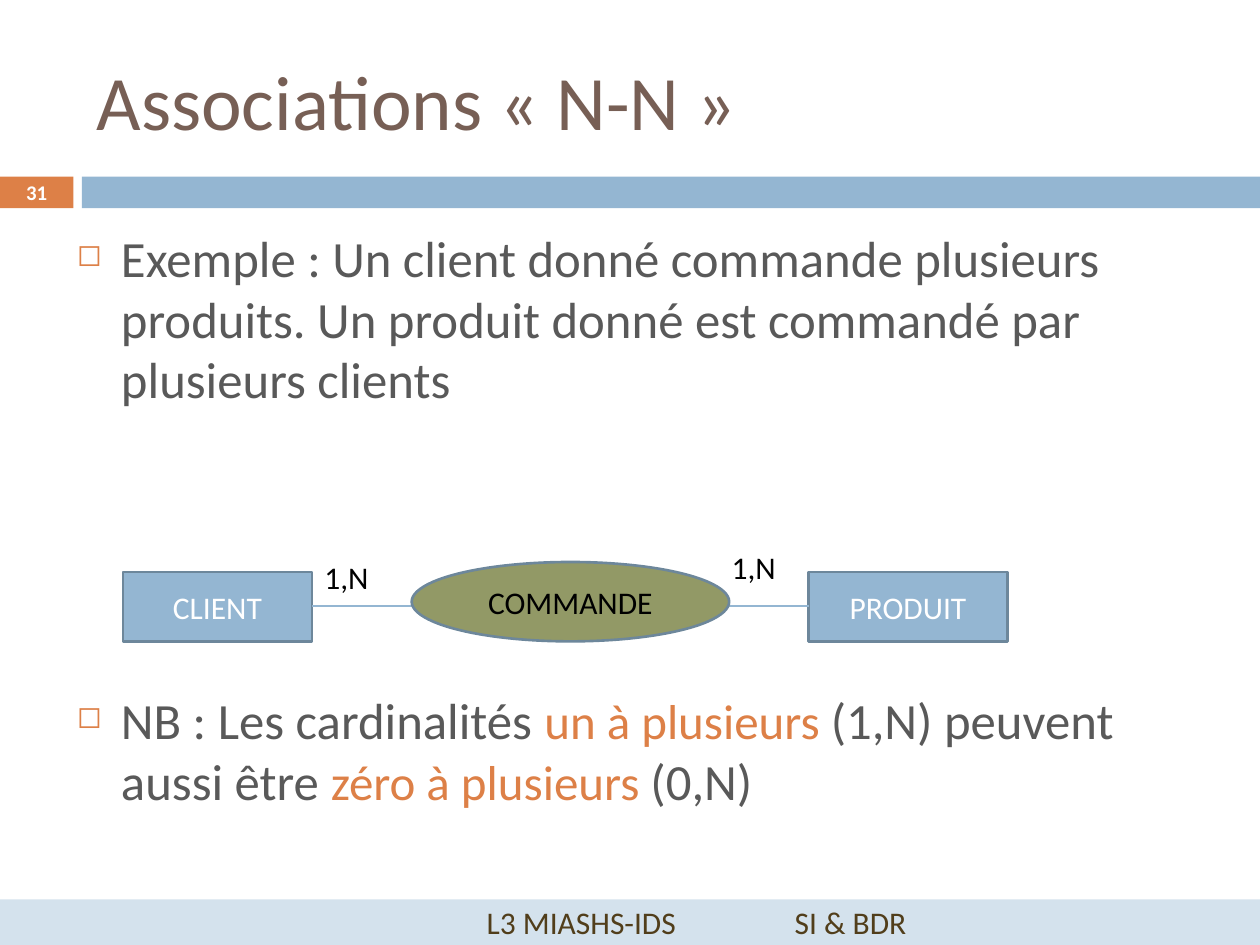
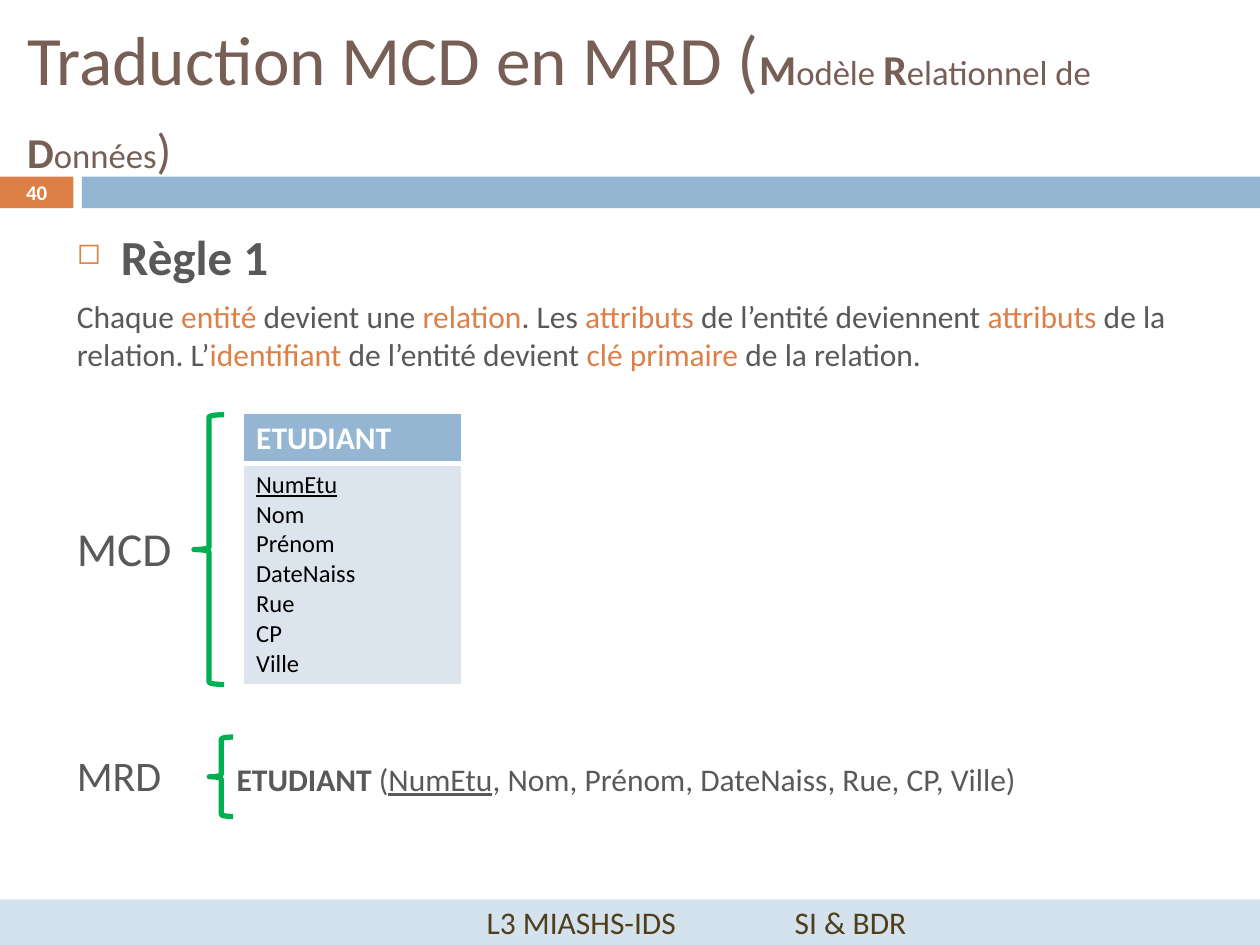
from lxml import etree
from pptx import Presentation
from pptx.dml.color import RGBColor
from pptx.enum.shapes import MSO_CONNECTOR, MSO_SHAPE
from pptx.enum.text import MSO_ANCHOR, PP_ALIGN
from pptx.oxml.ns import qn
from pptx.util import Cm, Pt

W, H = 25.4, 19.05
FONT = "Calibri"
COLORS = {
    "accent": "DD8047", "blue": "94B6D2", "outline": "6D879B",
    "title": "775F55", "text": "595959", "olive": "929966",
    "footer": "D4E2ED", "footer_text": "513E1B", "pale": "DCE5EE",
    "brace": "00B050", "white": "FFFFFF", "black": "000000",
}


def rgb(name):
    return RGBColor.from_string(COLORS[name])


# Text helpers
def write(p, runs, size, color="text", bold=False):
    """Fill a paragraph from strings or (string, style) pairs."""
    for item in [runs] if isinstance(runs, str) else runs:
        text, style = (item, {}) if isinstance(item, str) else item
        r = p.add_run()
        r.text = text
        r.font.name = FONT
        r.font.size = Pt(style.get("size", size))
        r.font.bold = style.get("bold", bold)
        if style.get("underline"):
            r.font.underline = True
        r.font.color.rgb = rgb(style.get("color", color))


def bullet(p):
    pPr = p._p.get_or_add_pPr()
    pPr.set("marL", str(Cm(0.89)))
    pPr.set("indent", str(-Cm(0.89)))
    clr = etree.SubElement(pPr, qn("a:buClr"))
    etree.SubElement(clr, qn("a:srgbClr"), val=COLORS["accent"])
    etree.SubElement(pPr, qn("a:buSzPct"), val="60000")
    etree.SubElement(pPr, qn("a:buChar"), char="◻")


def add_text(s, box, runs, size, color="text", bold=False,
             anchor=MSO_ANCHOR.TOP):
    tf = s.shapes.add_textbox(*map(Cm, box)).text_frame
    tf.word_wrap = True
    tf.vertical_anchor = anchor
    write(tf.paragraphs[0], runs, size, color, bold)
    return tf


# Shape helpers
def add_box(s, kind, box, fill=None, line=None, width=1.5):
    sp = s.shapes.add_shape(kind, *map(Cm, box))
    sp.shadow.inherit = False
    if fill:
        sp.fill.solid()
        sp.fill.fore_color.rgb = rgb(fill)
    else:
        sp.fill.background()
    if line:
        sp.line.color.rgb = rgb(line)
        sp.line.width = Pt(width)
    else:
        sp.line.fill.background()
    return sp


def label(sp, text, size, color, bold=False):
    tf = sp.text_frame
    tf.vertical_anchor = MSO_ANCHOR.MIDDLE
    p = tf.paragraphs[0]
    p.alignment = PP_ALIGN.CENTER
    write(p, text, size, color, bold)


# Shared frame: band, slide number, title and footer
def add_frame(s, number, title, title_box, title_size):
    top, height, number_w, band_x = 3.56, 0.64, 1.48, 1.65
    num = add_box(s, MSO_SHAPE.RECTANGLE, (0, top, number_w, height), "accent")
    label(num, number, 11.9, "white", bold=True)
    add_box(s, MSO_SHAPE.RECTANGLE, (band_x, top, W - band_x, height), "blue")
    add_text(s, title_box, title, title_size, "title",
             anchor=MSO_ANCHOR.MIDDLE)
    foot_h = 0.92
    foot = add_box(s, MSO_SHAPE.RECTANGLE, (0, H - foot_h, W, foot_h), "footer")
    label(foot, "\t\t L3 MIASHS-IDS\t\tSI & BDR", 18, "footer_text")


# Entity-association diagram
def add_association(s, x, y):
    entity_h, line_y = 1.4, y + 0.89
    client_w, product_x, product_w = 3.81, 13.82, 4.01
    for text, dx, w in (("CLIENT", 0, client_w),
                        ("PRODUIT", product_x, product_w)):
        sp = add_box(s, MSO_SHAPE.RECTANGLE, (x + dx, y + 0.2, w, entity_h),
                     "blue", "outline")
        label(sp, text, 18, "white")
    link = s.shapes.add_connector(
        MSO_CONNECTOR.STRAIGHT, Cm(x + client_w), Cm(line_y),
        Cm(x + product_x), Cm(line_y))
    link.line.color.rgb = rgb("blue")
    link.line.width = Pt(0.79)
    etree.SubElement(link._element.spPr, qn("a:effectLst"))
    sp = add_box(s, MSO_SHAPE.OVAL, (x + 5.82, y, 6.4, 1.6), "olive", "outline")
    label(sp, "COMMANDE", 18, "black")
    for dx, dy in ((client_w, -0.2), (12.02, -0.41)):
        add_text(s, (x + dx, y + dy, 1.8, 1.02), "1,N", 18, "black")


# Entity table
def add_border(cell, side, width):
    ln = etree.SubElement(cell._tc.get_or_add_tcPr(), qn(f"a:{side}"),
                          w=str(Pt(width)))
    fill = etree.SubElement(ln, qn("a:solidFill"))
    etree.SubElement(fill, qn("a:srgbClr"), val=COLORS["white"])


def add_entity(s, x, y, w, name, attributes):
    heights = (1.0, 4.46)
    tbl = s.shapes.add_table(2, 1, Cm(x), Cm(y), Cm(w), Cm(sum(heights))).table
    for row, height in zip(tbl.rows, heights):
        row.height = Cm(height)
    head, body = tbl.cell(0, 0), tbl.cell(1, 0)
    for cell, color, bottom in ((head, "blue", 3), (body, "pale", 1)):
        for side, width in (("lnL", 1), ("lnR", 1), ("lnT", 4 - bottom
                            if cell is head else 3), ("lnB", bottom)):
            add_border(cell, side, width)
        cell.fill.solid()
        cell.fill.fore_color.rgb = rgb(color)
    write(head.text_frame.paragraphs[0], name, 18, "white", bold=True)
    tf = body.text_frame
    for i, attribute in enumerate(attributes):
        p = tf.add_paragraph() if i else tf.paragraphs[0]
        write(p, [(attribute, {"underline": i == 0})], 14, "black")


def add_brace(s, box):
    add_box(s, MSO_SHAPE.LEFT_BRACE, box, line="brace", width=3)


# Slides
BODY_X, BODY_Y, BODY_W = 1.3, 4.44, 22.66
ACCENT = {"color": "accent"}


def associations_slide(s):
    add_frame(s, "31", "Associations «\u00a0N-N\u00a0»",
              (1.7, 0.64, BODY_W, 2.74), 44)
    example = ("Exemple : Un client donné commande plusieurs produits. "
               "Un produit donné est commandé par plusieurs clients")
    tf = add_text(s, (BODY_X, BODY_Y, BODY_W, 4.2), example, 29)
    bullet(tf.paragraphs[0])
    add_association(s, 2.48, 11.33)
    accent = {"color": "accent", "size": 28}
    note = ["NB : Les cardinalités ", ("un à plusieurs ", accent),
            "(1,N) peuvent aussi être ", ("zéro à plusieurs ", accent), "(0,N)"]
    tf = add_text(s, (BODY_X, 13.77, BODY_W, 2.9), note, 29)
    bullet(tf.paragraphs[0])


def translation_slide(s):
    initial, rest = {"size": 24.3, "bold": True}, {"size": 19.8}
    title = ["Traduction MCD en MRD (", ("M", initial), ("odèle ", rest),
             ("R", initial), ("elationnel de ", rest), ("D", initial),
             ("onnées", rest), (")", {"size": 27.9}), " "]
    add_frame(s, "40", title, (0.3, 0.64, 24.79, 2.74), 39.6)

    # Rule
    tf = add_text(s, (BODY_X, BODY_Y, BODY_W, 3.4), "Règle 1", 28, bold=True)
    bullet(tf.paragraphs[0])
    p = tf.add_paragraph()
    p.space_before = Pt(7)
    write(p, ["Chaque ", ("entité", ACCENT), " devient une ",
              ("relation", ACCENT), ". Les ", ("attributs", ACCENT),
              " de l’entité deviennent ", ("attributs", ACCENT),
              " de la relation. L’", ("identifiant", ACCENT),
              " de l’entité devient ", ("clé primaire ", ACCENT),
              "de la relation."], 18)

    # Conceptual model, then relational model
    attributes = ["NumEtu", "Nom", "Prénom", "DateNaiss", "Rue", "CP", "Ville"]
    add_text(s, (BODY_X, 10.34, 2.7, 1.4), "MCD", 27)
    add_entity(s, 4.91, 8.33, 4.39, "ETUDIANT", attributes)
    add_brace(s, (3.91, 8.36, 0.61, 5.44))
    add_text(s, (BODY_X, 14.99, 2.7, 1.3), "MRD", 24)
    relation = [("ETUDIANT", {"bold": True}), " (",
                (attributes[0], {"underline": True}),
                ", " + ", ".join(attributes[1:]) + ")"]
    add_text(s, (4.52, 15.19, 19.4, 1.02), relation, 18)
    add_brace(s, (4.22, 14.86, 0.48, 1.6))


def main():
    prs = Presentation()
    prs.slide_width, prs.slide_height = Cm(W), Cm(H)
    for build in (associations_slide, translation_slide):
        build(prs.slides.add_slide(prs.slide_layouts[6]))
    prs.save("out.pptx")


if __name__ == "__main__":
    main()
